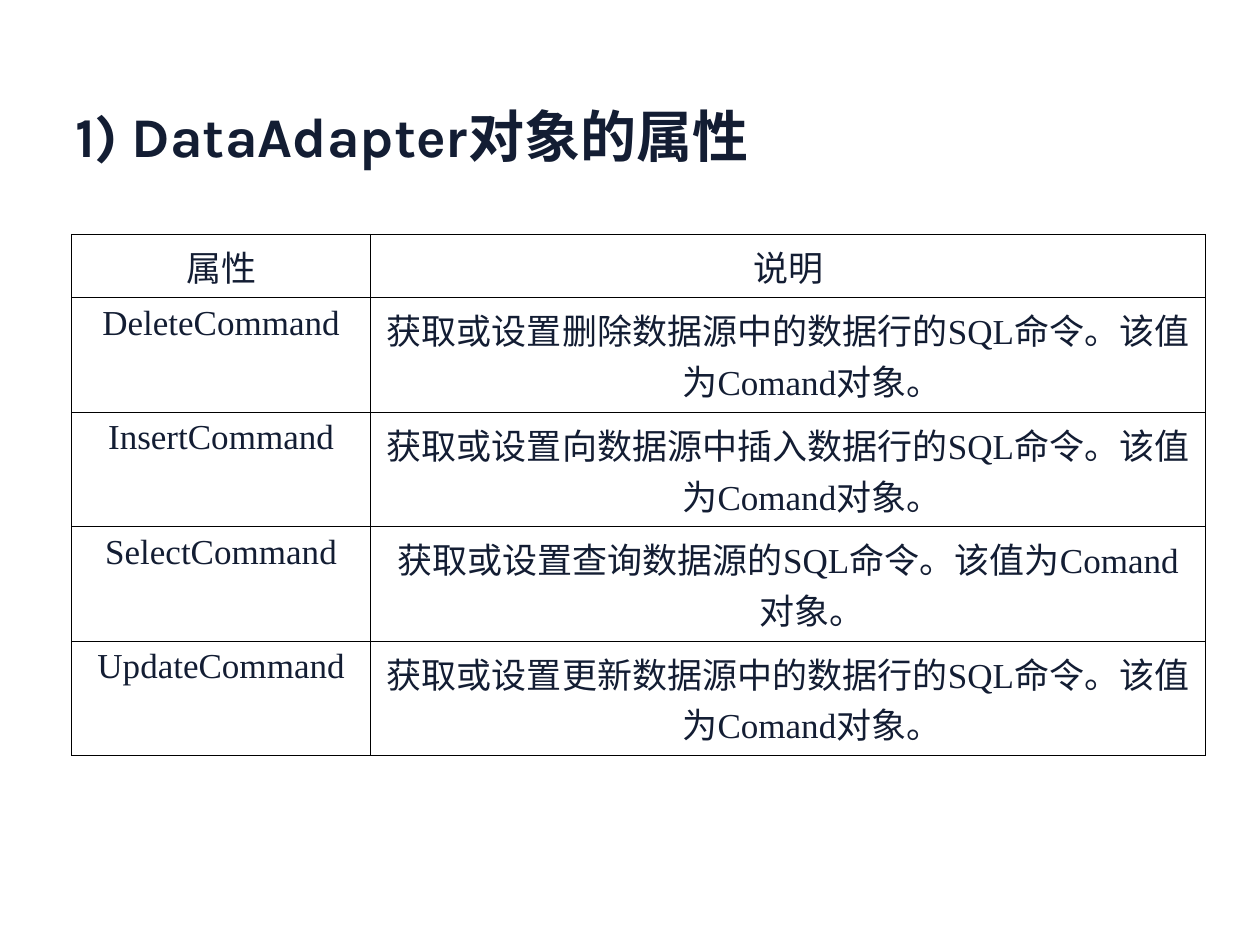
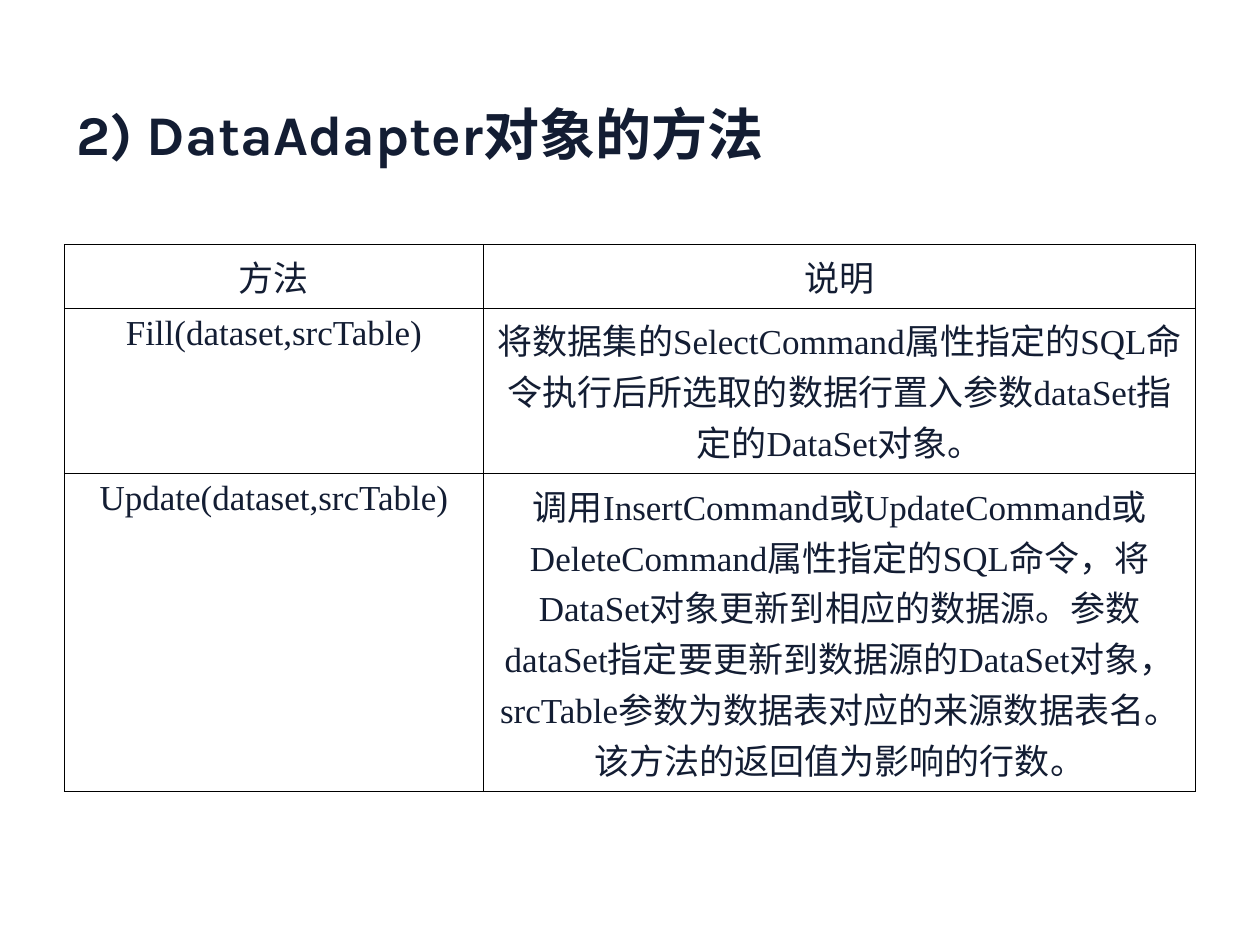
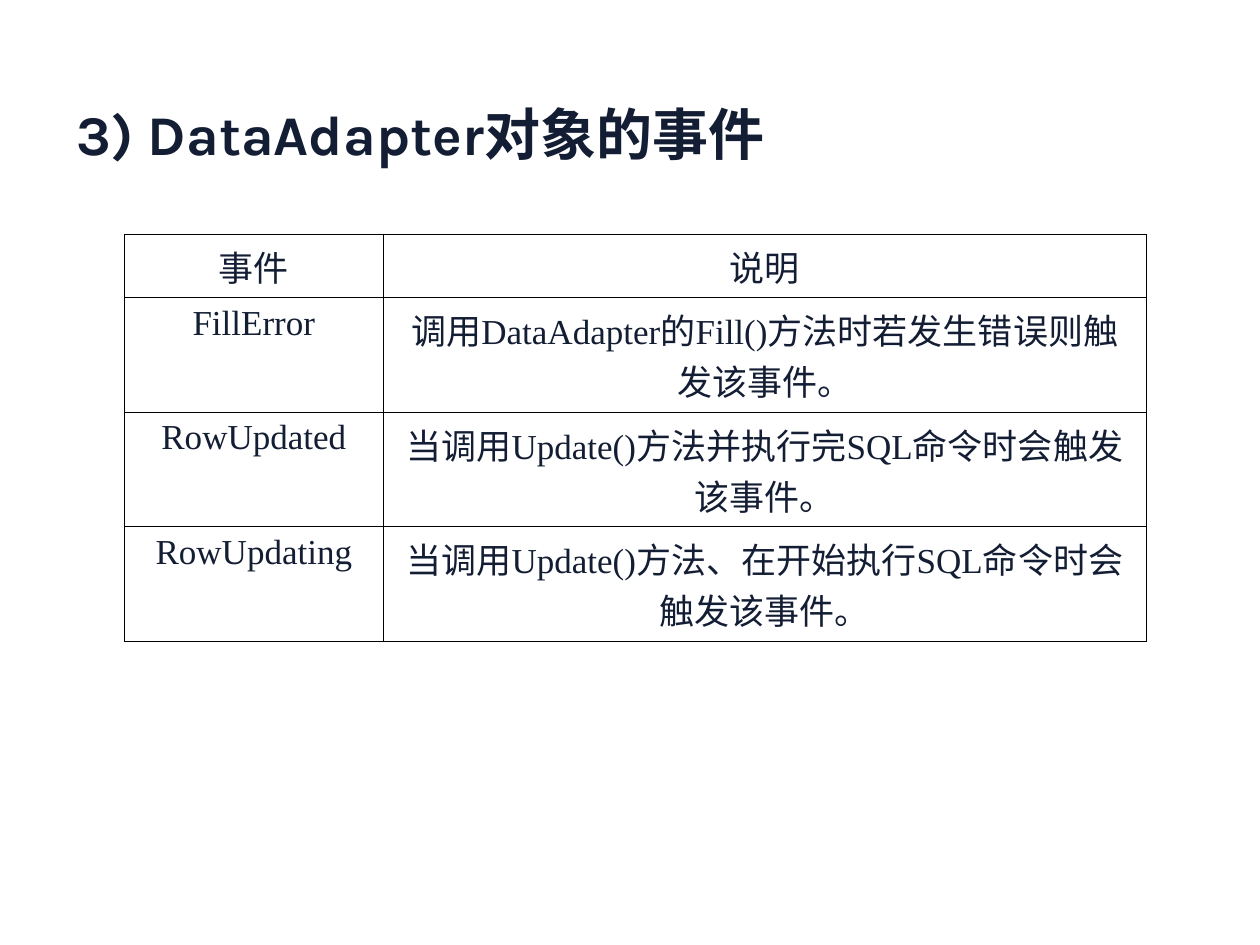
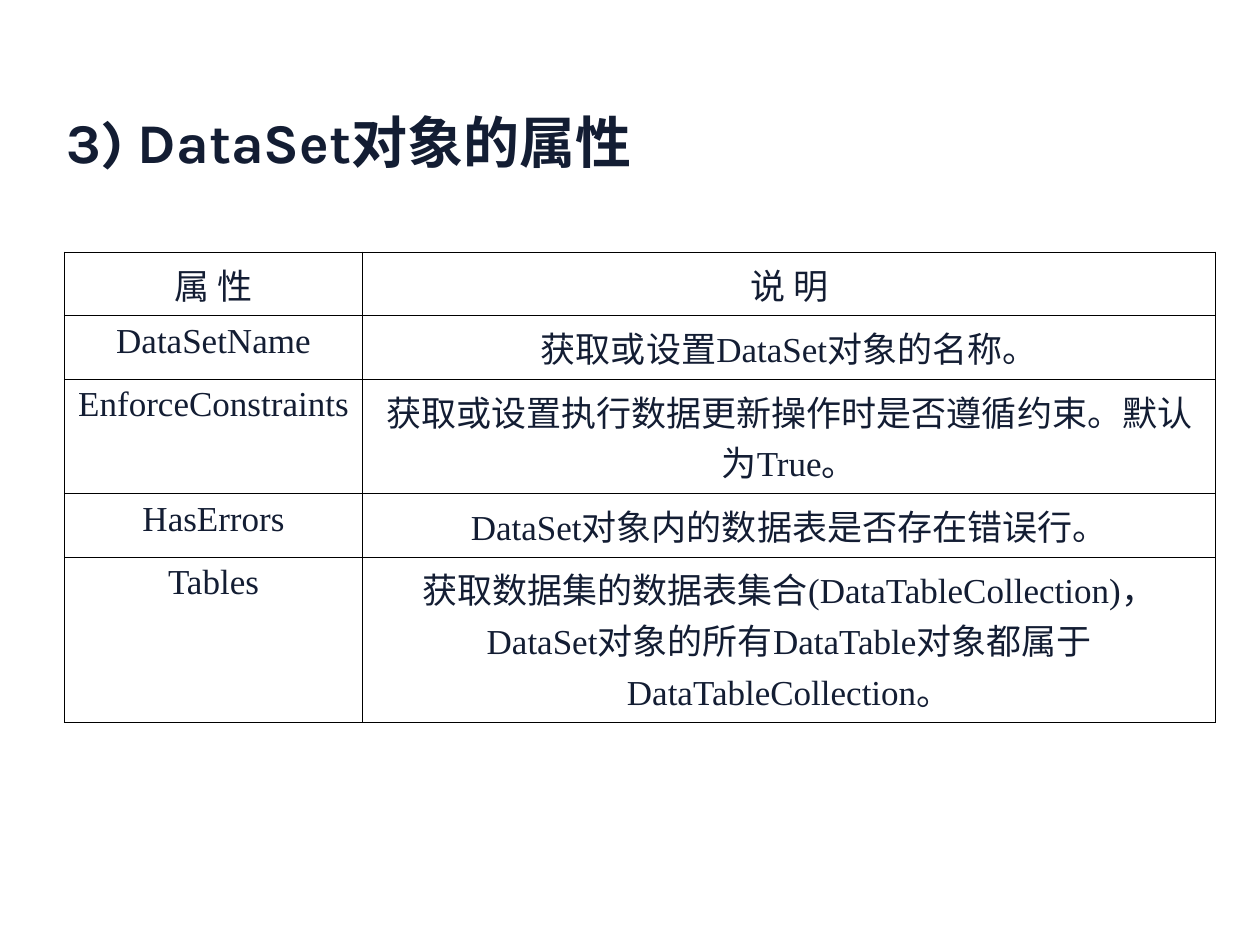
from lxml.etree import SubElement
from pptx import Presentation
from pptx.dml.color import RGBColor
from pptx.enum.lang import MSO_LANGUAGE_ID as Language
from pptx.enum.text import MSO_ANCHOR as Anchor, PP_ALIGN as Align
from pptx.oxml.ns import qn
from pptx.util import Inches, Pt

COLORS = {"ink": "131D33", "rule": "000000"}
TITLE_FONT = "Karla"
TABLE_FONT = "Times New Roman"
TITLE_SIZE = 32
TABLE_SIZE = 20
LINE_PITCH = Pt(29.1)
CELL_PADDING = Inches(0.1)
RULE_WIDTH = 0.45
BORDERS = ("a:lnL", "a:lnR", "a:lnT", "a:lnB")

SLIDES = [
    {
        "title": "1) DataAdapter对象的属性",
        "title_at": (0.5, 0.32, 9, 1.51),
        "table_at": (0.57, 1.86),
        "columns": (2.37, 6.63),
        "lines": (1, 2, 2, 2, 2),
        "hanging": 0.38,
        "rows": [
            ("属性", "说明"),
            ("DeleteCommand", "获取或设置删除数据源中的数据行的SQL命令。该值为Comand对象。"),
            ("InsertCommand", "获取或设置向数据源中插入数据行的SQL命令。该值为Comand对象。"),
            ("SelectCommand", "获取或设置查询数据源的SQL命令。该值为Comand对象。"),
            ("UpdateCommand", "获取或设置更新数据源中的数据行的SQL命令。该值为Comand对象。"),
        ],
    },
    {
        "title": "2) DataAdapter对象的方法",
        "title_at": (0.51, 0.52, 9, 1.07),
        "table_at": (0.51, 1.94),
        "columns": (3.33, 5.65),
        "lines": (1, 3, 6),
        "rows": [
            ("方法", "说明"),
            ("Fill(dataset,srcTable)",
             "将数据集的SelectCommand属性指定的SQL命令执行后所选取的数据行置入参数dataSet指定的DataSet对象。"),
            ("Update(dataset,srcTable)",
             "调用InsertCommand或UpdateCommand或DeleteCommand属性指定的SQL命令，"
             "将DataSet对象更新到相应的数据源。参数dataSet指定要更新到数据源的DataSet对象，"
             "srcTable参数为数据表对应的来源数据表名。该方法的返回值为影响的行数。"),
        ],
    },
    {
        "title": "3) DataAdapter对象的事件",
        "title_at": (0.51, 0.52, 9, 1.07),
        "table_at": (0.99, 1.86),
        "columns": (2.05, 6.06),
        "lines": (1, 2, 2, 2),
        "rows": [
            ("事件", "说明"),
            ("FillError", "调用DataAdapter的Fill()方法时若发生错误则触发该事件。"),
            ("RowUpdated", "当调用Update()方法并执行完SQL命令时会触发该事件。"),
            ("RowUpdating", "当调用Update()方法、在开始执行SQL命令时会触发该事件。"),
        ],
    },
    {
        "title": "3) DataSet对象的属性",
        "title_at": (0.43, 0.6, 9, 0.91),
        "title_inset": 0.18,
        "table_at": (0.51, 2.0),
        "columns": (2.37, 6.77),
        "lines": (1, 1, 2, 1, 3),
        "rows": [
            ("属 性", "说 明"),
            ("DataSetName", "获取或设置DataSet对象的名称。"),
            ("EnforceConstraints", "获取或设置执行数据更新操作时是否遵循约束。默认为True。"),
            ("HasErrors", "DataSet对象内的数据表是否存在错误行。"),
            ("Tables",
             "获取数据集的数据表集合(DataTableCollection)，"
             "DataSet对象的所有DataTable对象都属于DataTableCollection。"),
        ],
    },
]


def style_text(para, name, size, bold=False):
    for span in para.runs:
        font = span.font
        font.name, font.size, font.bold = name, Pt(size), bold
        font.color.rgb = RGBColor.from_string(COLORS["ink"])
        font.language_id = Language.SIMPLIFIED_CHINESE


def add_title(page, content):
    box = page.shapes.add_textbox(*map(Inches, content["title_at"]))
    frame = box.text_frame
    frame.word_wrap = True
    frame.vertical_anchor = Anchor.MIDDLE
    frame.margin_top = Inches(content.get("title_inset", 0.05))
    frame.text = content["title"]
    style_text(frame.paragraphs[0], TITLE_FONT, TITLE_SIZE, bold=True)


def add_borders(cell):
    properties = cell._tc.get_or_add_tcPr()
    for side in BORDERS:
        line = SubElement(properties, qn(side), w=str(Pt(RULE_WIDTH)))
        fill = SubElement(line, qn("a:solidFill"))
        SubElement(fill, qn("a:srgbClr"), val=COLORS["rule"])


def fill_cell(cell, text, hanging):
    add_borders(cell)
    cell.fill.background()
    cell.text_frame.text = text
    para = cell.text_frame.paragraphs[0]
    para.alignment = Align.CENTER
    properties = para._p.get_or_add_pPr()
    properties.set("hangingPunct", "0")
    properties.set("marL", str(Inches(hanging)))
    properties.set("indent", str(-Inches(hanging)))
    style_text(para, TABLE_FONT, TABLE_SIZE)


def add_grid(page, content):
    rows = content["rows"]
    widths = [Inches(width) for width in content["columns"]]
    heights = [CELL_PADDING + count * LINE_PITCH for count in content["lines"]]
    left, top = map(Inches, content["table_at"])
    table = page.shapes.add_table(
        len(rows), len(widths), left, top, sum(widths), sum(heights)
    ).table
    table.first_row = table.horz_banding = False
    for column, width in zip(table.columns, widths):
        column.width = width
    for row, height, texts in zip(table.rows, heights, rows):
        row.height = height
        for cell, text in zip(row.cells, texts):
            fill_cell(cell, text, content.get("hanging", 0))


def main():
    deck = Presentation()
    deck.slide_width, deck.slide_height = Inches(10), Inches(7.5)
    for content in SLIDES:
        page = deck.slides.add_slide(deck.slide_layouts[6])
        add_title(page, content)
        add_grid(page, content)
    deck.save("out.pptx")


if __name__ == "__main__":
    main()
